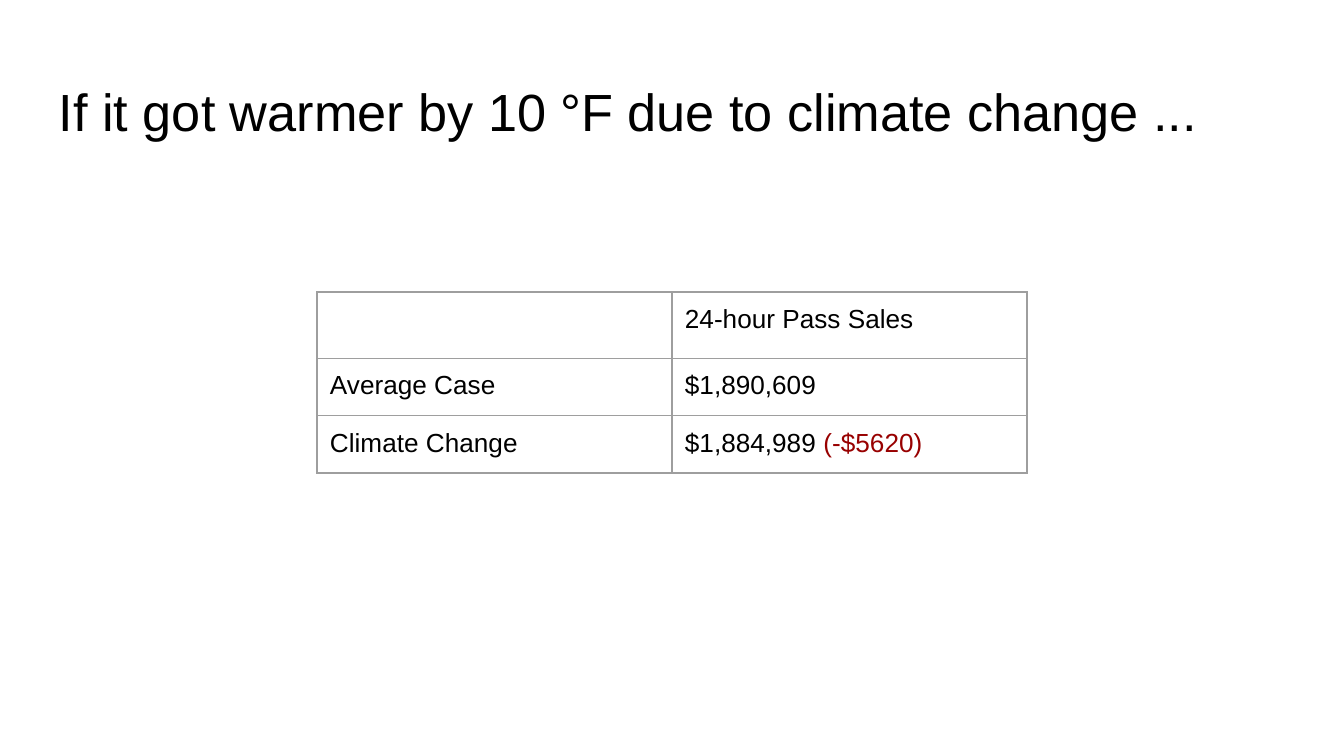
import pptx
import pptx.dml.color
import pptx.enum.text
import pptx.oxml
import pptx.oxml.ns
import pptx.util

SCALE = 914400 / 134.4  # EMU per px
INSET = 13
BLACK, RED, GREY = "000000", "980000", "9E9E9E"


def px(length):
    return pptx.util.Emu(round(length * SCALE))


def add_run(paragraph, text, size, color):
    run = paragraph.add_run()
    run.text = text
    for name, value in {"name": "Arial", "size": pptx.util.Pt(size), "bold": False}.items():
        setattr(run.font, name, value)
    run.font.color.rgb = pptx.dml.color.RGBColor.from_string(color)


presentation = pptx.Presentation()
presentation.slide_width, presentation.slide_height = px(1344), px(756)
slide = presentation.slides.add_slide(presentation.slide_layouts[6])
margins = {f"margin_{side}": px(INSET) for side in ("left", "top", "right", "bottom")}

# Title
title = slide.shapes.add_textbox(px(46), px(66), px(1253), px(85))
frame_format = {
    **margins,
    "word_wrap": True,
    "vertical_anchor": pptx.enum.text.MSO_ANCHOR.TOP,
}
for name, value in frame_format.items():
    setattr(title.text_frame, name, value)
add_run(title.text_frame.paragraphs[0],
        "If it got warmer by 10 °F due to climate change ...", 28, BLACK)

# Sales table: each cell is a list of (text, color) runs
rows = [
    [[], [("24-hour Pass Sales", BLACK)]],
    [[("Average Case", BLACK)], [("$1,890,609", BLACK)]],
    [[("Climate Change", BLACK)], [("$1,884,989 ", BLACK), ("(-$5620)", RED)]],
]
row_heights = [64, 56, 56]
column_width = 355
table = slide.shapes.add_table(
    len(rows), 2, px(317), px(292), px(2 * column_width), px(sum(row_heights))).table
for name in ("first_row", "horz_banding"):
    setattr(table, name, False)
for column in table.columns:
    column.width = px(column_width)

for row, height, contents in zip(table.rows, row_heights, rows):
    row.height = px(height)
    for cell, runs in zip(row.cells, contents):
        for name, value in margins.items():
            setattr(cell, name, value)
        for text, color in runs:
            add_run(cell.text_frame.paragraphs[0], text, 14, color)

        # Borders come before the fill in the cell properties
        properties = cell._tc.get_or_add_tcPr()
        for edge in ("lnL", "lnR", "lnT", "lnB"):
            properties.append(pptx.oxml.parse_xml(
                f'<a:{edge} {pptx.oxml.ns.nsdecls("a")} w="{pptx.util.Pt(0.75)}">'
                f'<a:solidFill><a:srgbClr val="{GREY}"/></a:solidFill></a:{edge}>'))
        cell.fill.background()

presentation.save("out.pptx")
